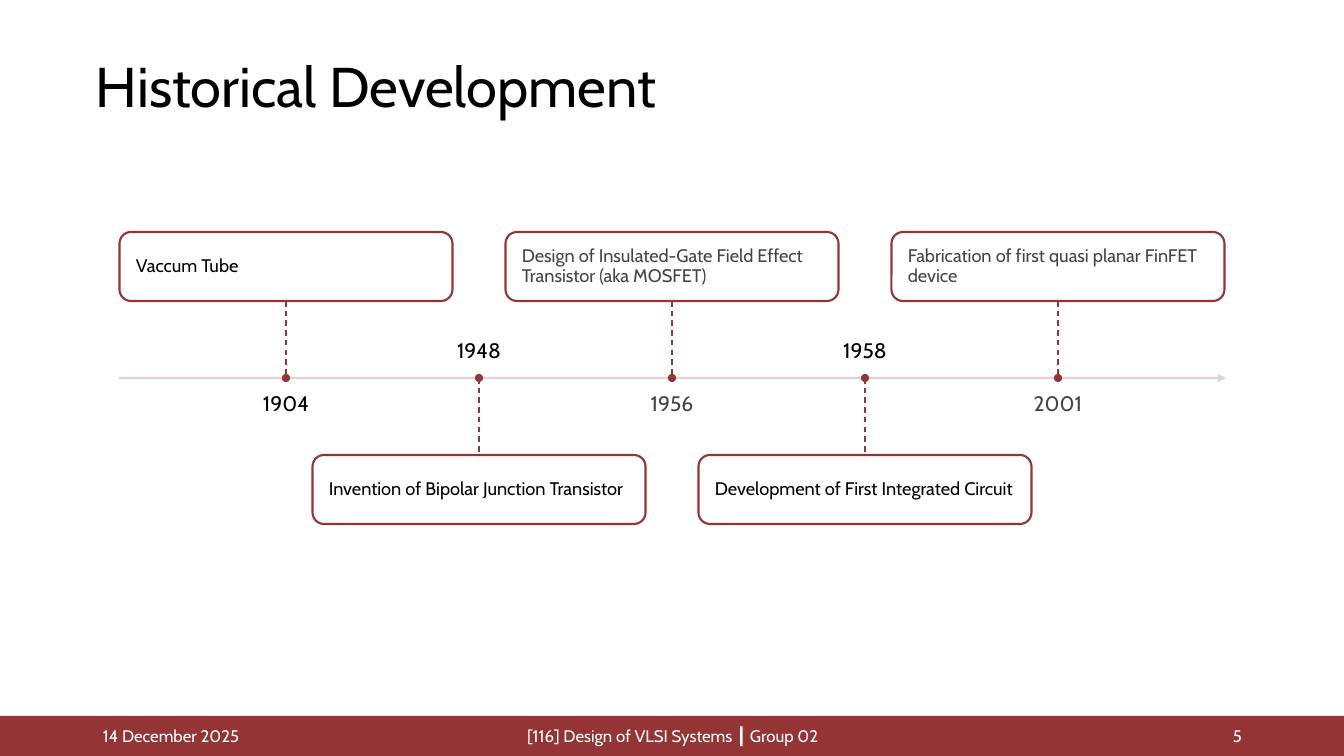
"""Build the timeline slide on the history of semiconductor devices."""
from lxml import etree
from pptx import Presentation
from pptx.dml.color import RGBColor
from pptx.enum import dml, shapes, text
from pptx.oxml import ns
from pptx.util import Emu, Pt

PX = 914400 / 100.8
COLOURS = {
    "maroon": "953434",
    "axis": "DDCECE",
    "black": "000000",
    "grey": "444444",
    "white": "FFFFFF",
}
ALIGN = text.PP_ALIGN
ANCHOR = text.MSO_ANCHOR
SHAPE = shapes.MSO_SHAPE
AXIS_LEFT, AXIS_RIGHT, AXIS_Y = 119, 1226, 378
FIRST_X, STEP = 286, 193
BOX_WIDTH, BOX_HEIGHT, STEM = 333, 69, 77
YEAR_WIDTH, YEAR_HEIGHT, YEAR_GAP = 293, 45, 15
DOT = 6
EVENTS = [
    ("1904", "Vaccum Tube", "black", "black"),
    ("1948", "Invention of Bipolar Junction Transistor", "black", "black"),
    ("1956", "Design of Insulated-Gate Field Effect Transistor (aka MOSFET)", "grey", "grey"),
    ("1958", "Development of First Integrated Circuit", "black", "black"),
    ("2001", "Fabrication of first quasi planar FinFET device", "grey", "grey"),
]
FOOTERS = [
    (93, 302, "14 December 2025", ALIGN.LEFT),
    (446, 454, "[116] Design of VLSI Systems ┃ Group 02", ALIGN.CENTER),
    (950, 302, "5", ALIGN.RIGHT),
]


def px(*lengths):
    """Turn pixel lengths into EMU."""
    return [Emu(round(length * PX)) for length in lengths]


def rgb(colour):
    """Look up a named colour."""
    return RGBColor.from_string(COLOURS[colour])


def apply(target, values):
    """Set every format value on the target."""
    for name, value in values.items():
        setattr(target, name, value)


def add_alpha(fill_owner, percent):
    """Make the first solid colour found in the element partly transparent."""
    colour = fill_owner.find(".//" + ns.qn("a:srgbClr"))
    etree.SubElement(colour, ns.qn("a:alpha"), val=str(percent * 1000))


def write(shape, words, size, colour, align=ALIGN.LEFT, anchor=ANCHOR.MIDDLE,
          insets=(10, 5), spacing=0.9):
    """Write one formatted paragraph into a shape."""
    across, down = px(*insets)
    frame = shape.text_frame
    apply(frame, {
        "word_wrap": True, "vertical_anchor": anchor,
        "margin_left": across, "margin_right": across,
        "margin_top": down, "margin_bottom": down,
    })
    para = frame.paragraphs[0]
    apply(para, {"alignment": align, "line_spacing": spacing})
    span = para.add_run()
    span.text = words
    apply(span.font, {"name": "Cabin", "size": Pt(size)})
    span.font.color.rgb = rgb(colour)


def add_text(canvas, place, words, size, colour, **layout):
    """Add a text box."""
    write(canvas.add_textbox(*px(*place)), words, size, colour, **layout)


def add_solid(canvas, kind, place, fill, outline=None):
    """Add a filled preset shape with an optional outline."""
    shape = canvas.add_shape(kind, *px(*place))
    shape.shadow.inherit = False
    shape.fill.solid()
    shape.fill.fore_color.rgb = rgb(fill)
    if outline:
        shape.line.color.rgb = rgb(outline)
        shape.line.width = Pt(1.5)
    else:
        shape.line.fill.background()
    return shape


def add_line(canvas, ends, colour, width):
    """Add a straight connector without a shadow."""
    line = canvas.add_connector(shapes.MSO_CONNECTOR.STRAIGHT, *px(*ends))
    line.line.color.rgb = rgb(colour)
    line.line.width = Pt(width)
    etree.SubElement(line.element.spPr, ns.qn("a:effectLst"))
    return line


def add_axis(canvas):
    """Add the time arrow."""
    axis = add_line(canvas, (AXIS_LEFT, AXIS_Y, AXIS_RIGHT, AXIS_Y), "axis", 1.5)
    outline = axis.line._get_or_add_ln()
    add_alpha(outline, 90)
    etree.SubElement(outline, ns.qn("a:tailEnd"), type="triangle")


def add_event(canvas, index, year, words, year_colour, words_colour):
    """Add one event, with its box above or below the axis by turns."""
    centre = FIRST_X + index * STEP
    above = index % 2 == 0
    edge = AXIS_Y - STEM if above else AXIS_Y + STEM
    box_top = edge - BOX_HEIGHT if above else edge
    year_top = AXIS_Y + YEAR_GAP if above else AXIS_Y - YEAR_GAP - YEAR_HEIGHT
    add_text(canvas, (centre - YEAR_WIDTH / 2, year_top, YEAR_WIDTH, YEAR_HEIGHT),
             year, 15, year_colour, align=ALIGN.CENTER, insets=(0, 0),
             anchor=ANCHOR.TOP if above else ANCHOR.BOTTOM)
    box = add_solid(canvas, SHAPE.ROUNDED_RECTANGLE,
                    (centre - BOX_WIDTH / 2, box_top, BOX_WIDTH, BOX_HEIGHT),
                    "white", "maroon")
    add_alpha(box.element.spPr, 90)
    write(box, words, 13, words_colour, insets=(13, 13))
    stem = add_line(canvas, (centre, min(edge, AXIS_Y), centre, max(edge, AXIS_Y)), "maroon", 1)
    stem.line.dash_style = dml.MSO_LINE.DASH
    add_solid(canvas, SHAPE.OVAL, (centre - DOT / 2, AXIS_Y - DOT / 2, DOT, DOT),
              "maroon", "maroon")


def main():
    """Build and save the deck."""
    deck = Presentation()
    deck.slide_width, deck.slide_height = px(1344, 756)
    page = deck.slides.add_slide(deck.slide_layouts[6])
    add_solid(page.shapes, SHAPE.RECTANGLE, (0, 716, 1344, 40), "maroon")
    add_text(page.shapes, (86, 16, 1173, 146), "Historical Development", 40, "black")
    for left, width, words, align in FOOTERS:
        add_text(page.shapes, (left, 716, width, 40), words, 12, "white",
                 align=align, spacing=1.0)
    timeline = page.shapes.add_group_shape().shapes
    add_axis(timeline)
    for index, event in enumerate(EVENTS):
        add_event(timeline, index, *event)
    deck.save("out.pptx")


if __name__ == "__main__":
    main()
